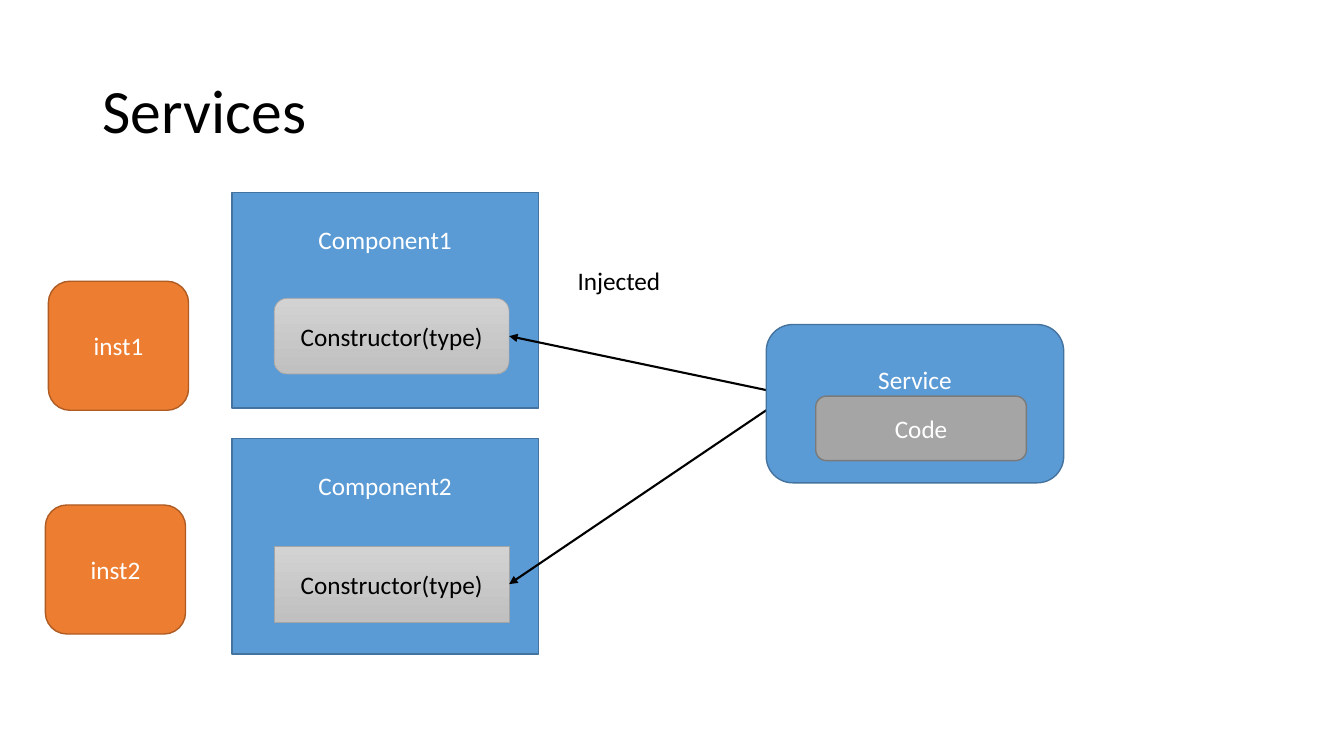
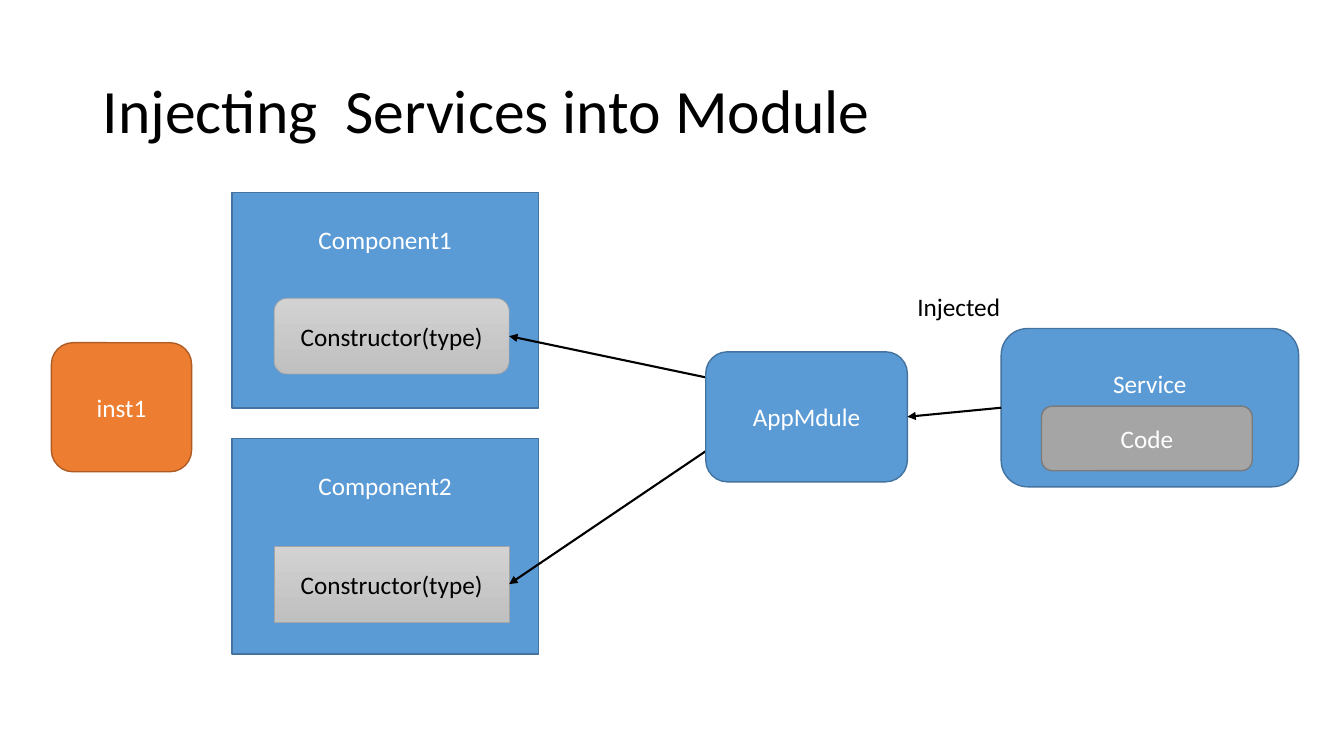
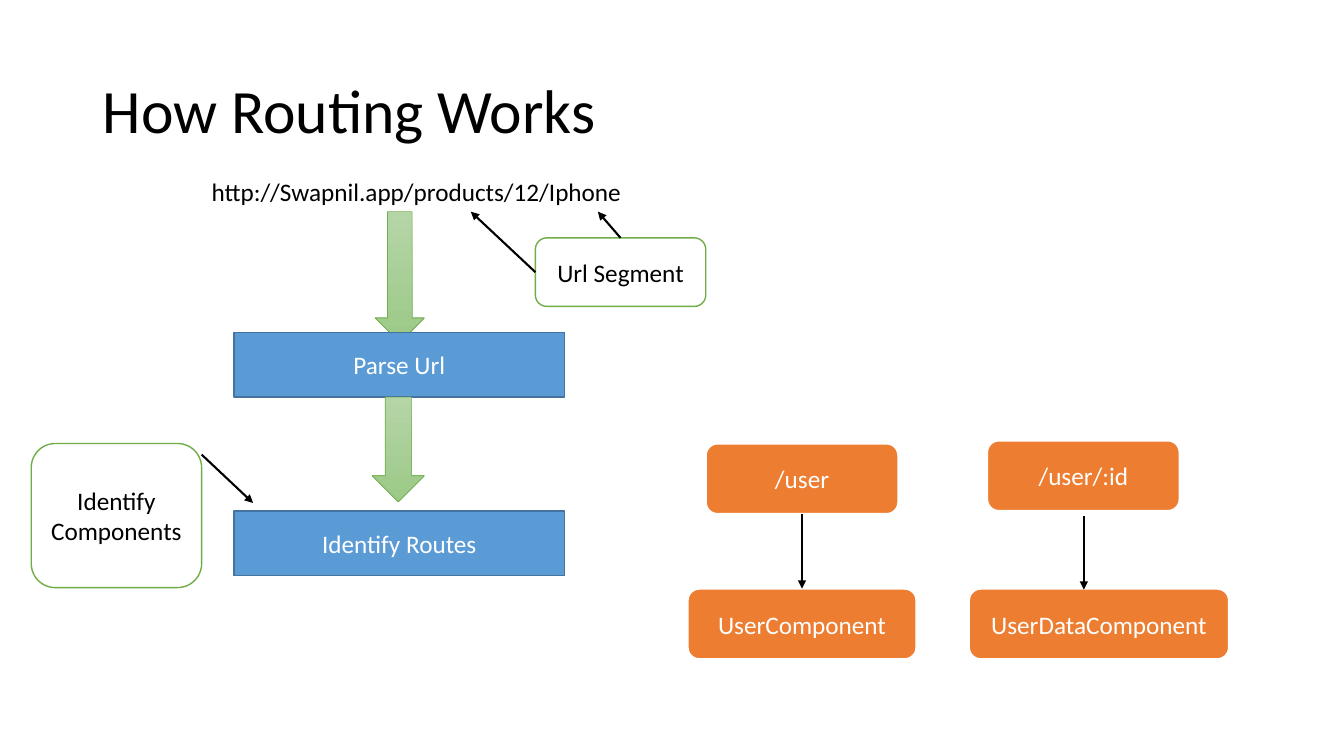
from lxml.etree import SubElement
from pptx import Presentation
from pptx.dml.color import RGBColor
from pptx.enum.shapes import MSO_CONNECTOR, MSO_SHAPE
from pptx.enum.text import MSO_ANCHOR, PP_ALIGN
from pptx.oxml.ns import qn
from pptx.util import Inches, Pt

COLORS = {
    "black": "000000", "white": "FFFFFF", "blue": "5B9BD5", "blue_line": "43739E",
    "orange": "ED7D31", "orange_line": "AF5C24", "gray": "A5A5A5", "gray_line": "7A7A7A",
    "silver_top": "D2D2D2", "silver_end": "C0C0C0",
    "green": "70AD47", "green_top": "B5D5A7", "green_end": "9CC987",
}
STYLES = {
    "blue": {"fill": ["blue"], "line": "blue_line", "width": 1, "text": "white"},
    "orange": {"fill": ["orange"], "line": "orange_line", "width": 1, "text": "white"},
    "route": {"fill": ["orange"], "line": "white", "width": 1.5, "text": "white"},
    "gray": {"fill": ["gray"], "line": "gray_line", "width": 1, "text": "white"},
    "silver": {"fill": ["silver_top", "silver_end"], "line": "gray", "width": 0.5, "text": "black"},
    "outline": {"fill": ["white"], "line": "green", "width": 1, "text": "black"},
    "green": {"fill": ["green_top", "green_end"], "line": "green", "width": 0.5, "text": "black"},
}
FONT = {"name": "Calibri", "size": Pt(18)}
TITLE_FONT = {"name": "Calibri", "size": Pt(44)}
RECT, ROUND, DOWN = MSO_SHAPE.RECTANGLE, MSO_SHAPE.ROUNDED_RECTANGLE, MSO_SHAPE.DOWN_ARROW
TOP, LEFT, BOTTOM, RIGHT = range(4)
HEADING_INSET = 0.32


def rgb(name):
    """Return the named colour."""
    return RGBColor.from_string(COLORS[name])


def set_all(obj, values):
    """Set each attribute of obj from a dict."""
    for key, value in values.items():
        setattr(obj, key, value)


def write(sp, text, color, font=FONT, **para):
    """Write one paragraph into a shape."""
    tf = sp.text_frame
    tf.word_wrap = True
    p = tf.paragraphs[0]
    set_all(p, para)
    r = p.add_run()
    r.text = text
    set_all(r.font, font)
    r.font.color.rgb = rgb(color)
    return tf


def add_label(s, text, box, font=FONT, **para):
    """Add a black text box."""
    sp = s.shapes.add_textbox(*map(Inches, box))
    return write(sp, text, "black", font, **para)


def add_box(s, kind, box, style, text="", heading=False):
    """Add a styled shape, its text centred or near the top as a heading."""
    look = STYLES[style]
    sp = s.shapes.add_shape(kind, *map(Inches, box))
    sp.shadow.inherit = False
    if len(look["fill"]) > 1:
        sp.fill.gradient()
        sp.fill.gradient_angle = 270
        for stop, name in zip(sp.fill.gradient_stops, look["fill"]):
            stop.color.rgb = rgb(name)
    else:
        sp.fill.solid()
        sp.fill.fore_color.rgb = rgb(look["fill"][0])
    sp.line.color.rgb = rgb(look["line"])
    sp.line.width = Pt(look["width"])
    if text:
        tf = write(sp, text, look["text"], alignment=PP_ALIGN.CENTER)
        tf.vertical_anchor = MSO_ANCHOR.TOP if heading else MSO_ANCHOR.MIDDLE
        if heading:
            tf.margin_top = Inches(HEADING_INSET)
    return sp


def add_arrow(s, start, end, source=None, target=None):
    """Add an arrow, joined to (shape, side) pairs where they are given."""
    c = s.shapes.add_connector(MSO_CONNECTOR.STRAIGHT, *map(Inches, (*start, *end)))
    if source:
        c.begin_connect(*source)
    if target:
        c.end_connect(*target)
    c.line.color.rgb = rgb("black")
    c.line.width = Pt(1.5)
    props = c._element.spPr
    SubElement(props.find(qn("a:ln")), qn("a:tailEnd"), type="triangle")
    SubElement(props, qn("a:effectLst"))


def add_slide(prs, title):
    """Add a blank slide with the shared title."""
    s = prs.slides.add_slide(prs.slide_layouts[6])
    tf = add_label(s, title, (0.92, 0.4, 11.5, 1.45), TITLE_FONT, line_spacing=0.9)
    tf.vertical_anchor = MSO_ANCHOR.MIDDLE
    return s


def add_component(s, name, x, y, drop, radius):
    """Add a component and return its constructor box."""
    add_box(s, RECT, (x, y, 3.04, 2.14), "blue", name, heading=True)
    box = (x + 0.42, y + drop, 2.33, 0.75)
    constructor = add_box(s, ROUND, box, "silver", "Constructor(type)")
    constructor.adjustments[0] = radius
    return constructor


def add_components(s, x, y):
    """Add both components and the arrows into their constructors."""
    first = add_component(s, "Component1", x, y, 1.05, 0.17)
    second = add_component(s, "Component2", x, y + 2.44, 1.07, 0)
    for constructor, dy, end_dy in ((first, 1.96, 1.43), (second, 2.16, 3.88)):
        add_arrow(s, (x + 5.3, y + dy), (x + 2.75, y + end_dy), target=(constructor, RIGHT))


def add_service(s, x, y, code_dx, code_dy):
    """Add the service with its code box."""
    service = add_box(s, ROUND, (x, y, 2.95, 1.57), "blue", "Service", heading=True)
    add_box(s, ROUND, (x + code_dx, y + code_dy, 2.09, 0.64), "gray", "Code")
    return service


def add_instance(s, name, x, y):
    """Add an instance box."""
    add_box(s, ROUND, (x, y, 1.39, 1.28), "orange", name)


def services_slide(prs):
    """Build the slide with a service injected into components."""
    s = add_slide(prs, "Services")
    add_components(s, 2.3, 1.91)
    add_service(s, 7.6, 3.22, 0.49, 0.71)
    add_label(s, "Injected", (5.63, 2.58, 1.81, 0.4))
    add_instance(s, "inst1", 0.48, 2.79)
    add_instance(s, "inst2", 0.45, 5.01)


def module_slide(prs):
    """Build the slide with a service injected through a module."""
    s = add_slide(prs, "Injecting  Services into Module")
    add_components(s, 2.3, 1.91)
    service = add_service(s, 9.93, 3.26, 0.4, 0.77)
    add_label(s, "Injected", (9, 2.84, 1.81, 0.4))
    add_instance(s, "inst1", 0.51, 3.4)
    module = add_box(s, ROUND, (7, 3.49, 2, 1.29), "blue", "AppMdule")
    add_arrow(s, (9.93, 4.04), (9, 4.13), (service, LEFT), (module, RIGHT))


def add_url_flow(s, x, y):
    """Add the steps from a URL to its routes, with their notes."""
    add_label(s, "http://Swapnil.app/products/12/Iphone", (x, y, 7.55, 0.4))
    add_box(s, DOWN, (x + 1.72, y + 0.4, 0.49, 1.3), "green")
    add_box(s, RECT, (x + 0.32, y + 1.6, 3.28, 0.64), "blue", "Parse Url")
    segment = add_box(s, ROUND, (x + 3.31, y + 0.66, 1.69, 0.68), "outline", "Url Segment")
    add_arrow(s, (x + 3.31, y + 1), (x + 2.67, y + 0.4), (segment, LEFT))
    add_arrow(s, (x + 4.16, y + 0.66), (x + 3.93, y + 0.4), (segment, TOP))
    add_box(s, DOWN, (x + 1.69, y + 2.24, 0.52, 1.04), "green")
    add_box(s, RECT, (x + 0.32, y + 3.37, 3.28, 0.64), "blue", "Identify Routes")
    add_box(s, ROUND, (x - 1.69, y + 2.7, 1.69, 1.43), "outline", "Identify Components")
    add_arrow(s, (x, y + 2.81), (x + 0.51, y + 3.29))


def add_route(s, path_text, component, x, y, width, joined):
    """Add a route above the component it opens."""
    route = add_box(s, ROUND, (x, y, 1.91, 0.7), "route", path_text)
    target = add_box(s, ROUND, (x - 0.18, 5.84, width, 0.7), "route", component)
    ends = ((route, BOTTOM), (target, TOP)) if joined else ()
    add_arrow(s, (x + 0.96, y + 0.75), (x + 0.96, 5.85), *ends)


def routing_slide(prs):
    """Build the slide on routing."""
    s = add_slide(prs, "How Routing Works")
    add_url_flow(s, 2, 1.7)
    add_route(s, "/user", "UserComponent", 7, 4.4, 2.27, True)
    add_route(s, "/user/:id", "UserDataComponent", 9.79, 4.37, 2.58, False)


def main():
    """Build and save the presentation."""
    prs = Presentation()
    prs.slide_width, prs.slide_height = Inches(13.33), Inches(7.5)
    for build in (services_slide, module_slide, routing_slide):
        build(prs)
    prs.save("out.pptx")


if __name__ == "__main__":
    main()
